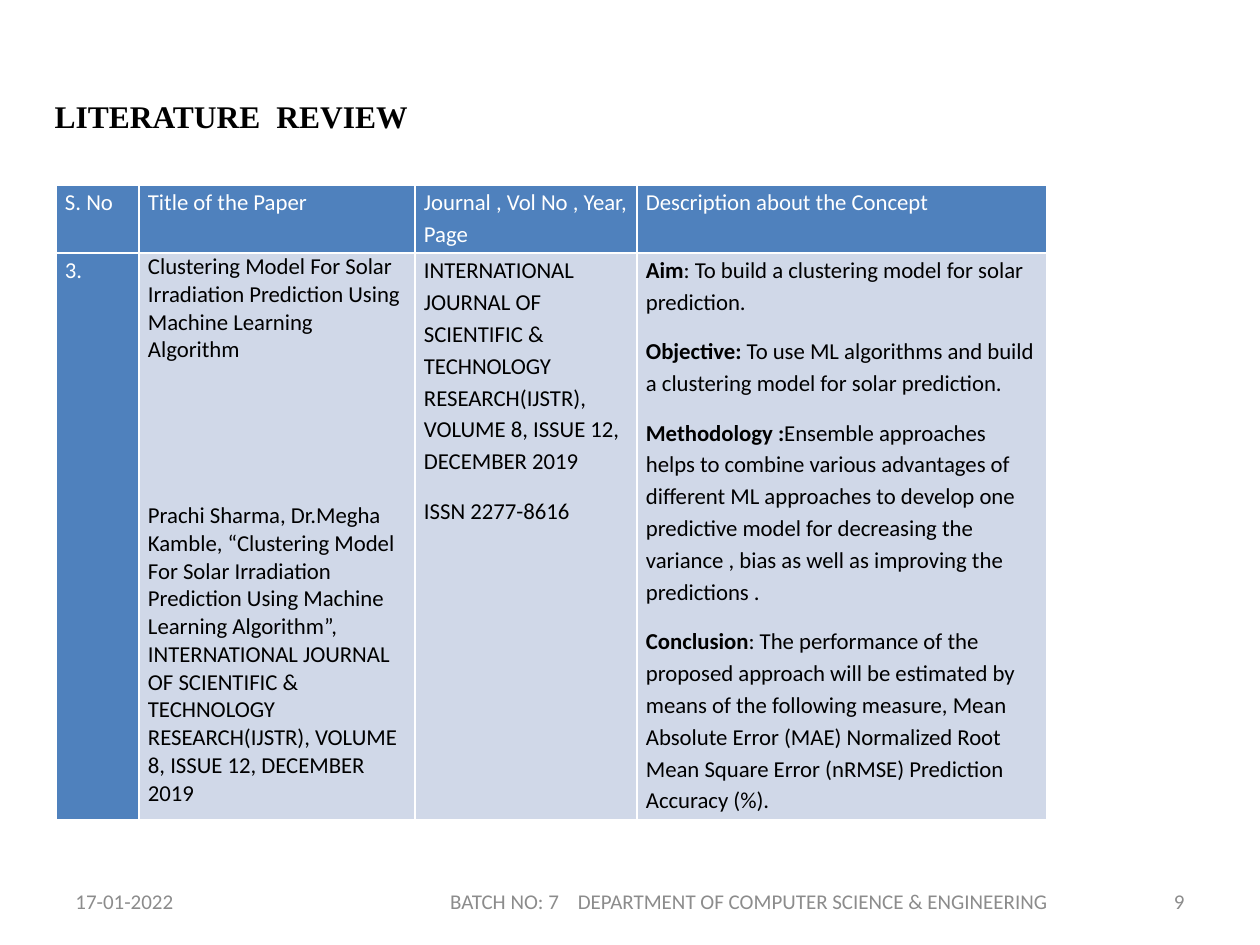
"""Build the literature review slide with its paper table and footer."""
import pptx
import pptx.util
import pptx.dml.color
import pptx.enum.text
import pptx.oxml.ns
from lxml import etree

SCALE = 914400 / 126
WHITE, BLACK, GREY = "FFFFFF", "000000", "8C8C8C"
BLUE, PALE = "4F81BD", "D0D8E8"
Align = pptx.enum.text.PP_ALIGN
Anchor = pptx.enum.text.MSO_ANCHOR


def px(num):
    return pptx.util.Emu(round(num * SCALE))


def add_run(para, text, size, hue, bold=False, face="Calibri"):
    run = para.add_run()
    run.text = text
    run.font.size = pptx.util.Pt(size)
    run.font.bold = bold
    run.font.name = face
    run.font.color.rgb = pptx.dml.color.RGBColor.from_string(hue)
    return run


deck = pptx.Presentation()
deck.slide_width, deck.slide_height = px(1260), px(945)
slide = deck.slides.add_slide(deck.slide_layouts[5])

title = slide.shapes.title
title.left, title.top, title.width, title.height = px(42), px(52), px(630), px(89)
frame = title.text_frame
frame.word_wrap = True
frame.auto_size = pptx.enum.text.MSO_AUTO_SIZE.NONE
frame.vertical_anchor = Anchor.TOP
frame.margin_top = px(14)
para = frame.paragraphs[0]
para.alignment = Align.LEFT
for text, size in [("LITERATURE", 18), (" ", 36), ("REVIEW", 18)]:
    add_run(para, text, size, BLACK, True, "Times New Roman")

journal = ("INTERNATIONAL JOURNAL OF SCIENTIFIC & TECHNOLOGY RESEARCH(IJSTR), "
           "VOLUME 8, ISSUE 12, DECEMBER 2019")
paper = "Clustering Model For Solar Irradiation Prediction Using Machine Learning Algorithm"
notes = [
    ("Aim", ": To build a clustering model for solar prediction."),
    ("Objective: ", "To use ML algorithms and build a clustering model for solar prediction."),
    ("Methodology :", "Ensemble approaches helps to combine various advantages of different "
     "ML approaches to develop one predictive model for decreasing the variance , bias as "
     "well as improving the predictions ."),
    ("Conclusion", ": The performance of the proposed approach will be estimated by means of "
     "the following measure, Mean Absolute Error (MAE) Normalized Root Mean Square Error "
     "(nRMSE) Prediction Accuracy (%)."),
]
heads = ["S. No", "Title of the Paper", "Journal , Vol No , Year, Page",
         "Description about the Concept"]
rows = [
    [[("", head)] for head in heads],
    [
        [("", "3.")],
        [("", paper), ("", f"Prachi Sharma, Dr.Megha Kamble, “{paper}”,"), ("", journal)],
        [("", journal), ("", "ISSN 2277-8616")],
        notes,
    ],
]
widths, heights = [83, 276, 222, 410], [68, 567]
grid = slide.shapes.add_table(2, 4, px(56), px(185), px(sum(widths)), px(sum(heights))).table
for col, width in zip(grid.columns, widths):
    col.width = px(width)
for row, height in zip(grid.rows, heights):
    row.height = px(height)

for i, row in enumerate(rows):
    for j, parts in enumerate(row):
        cell = grid.cell(i, j)
        dark = i == 0 or j == 0
        cell.margin_left = cell.margin_right = px(9)
        cell.margin_top = cell.margin_bottom = 0
        props = cell._tc.get_or_add_tcPr()
        for side in ("lnL", "lnR", "lnT", "lnB"):
            line = etree.SubElement(props, pptx.oxml.ns.qn(f"a:{side}"), w="12700")
            fill = etree.SubElement(line, pptx.oxml.ns.qn("a:solidFill"))
            etree.SubElement(fill, pptx.oxml.ns.qn("a:srgbClr"), val=WHITE)
        cell.fill.solid()
        cell.fill.fore_color.rgb = pptx.dml.color.RGBColor.from_string(BLUE if dark else PALE)
        for k, (lead, text) in enumerate(parts):
            para = cell.text_frame.paragraphs[0] if k == 0 else cell.text_frame.add_paragraph()
            if dark or j > 1:
                para.line_spacing = 1.15
                para.space_after = pptx.util.Pt(10)
            elif k == 1:
                para.space_before = pptx.util.Pt(79)
            if lead:
                add_run(para, lead, 13, BLACK, True)
            add_run(para, text, 13, WHITE if dark else BLACK)

foot = [
    (63, 294, Align.LEFT, ["17-01-2022"]),
    (431, 636, Align.CENTER,
     ["BATCH NO: 7", " ", "DEPARTMENT OF COMPUTER SCIENCE & ENGINEERING"]),
    (903, 294, Align.RIGHT, ["9"]),
]
for left, width, align, words in foot:
    box = slide.shapes.add_textbox(px(left), px(876), px(width), px(50))
    box.text_frame.word_wrap = True
    box.text_frame.vertical_anchor = Anchor.MIDDLE
    para = box.text_frame.paragraphs[0]
    para.alignment = align
    for word in words:
        run = add_run(para, word, 12, GREY)
        if word == " ":
            run._r.get_or_add_rPr().set("spc", "800")

deck.save("out.pptx")
